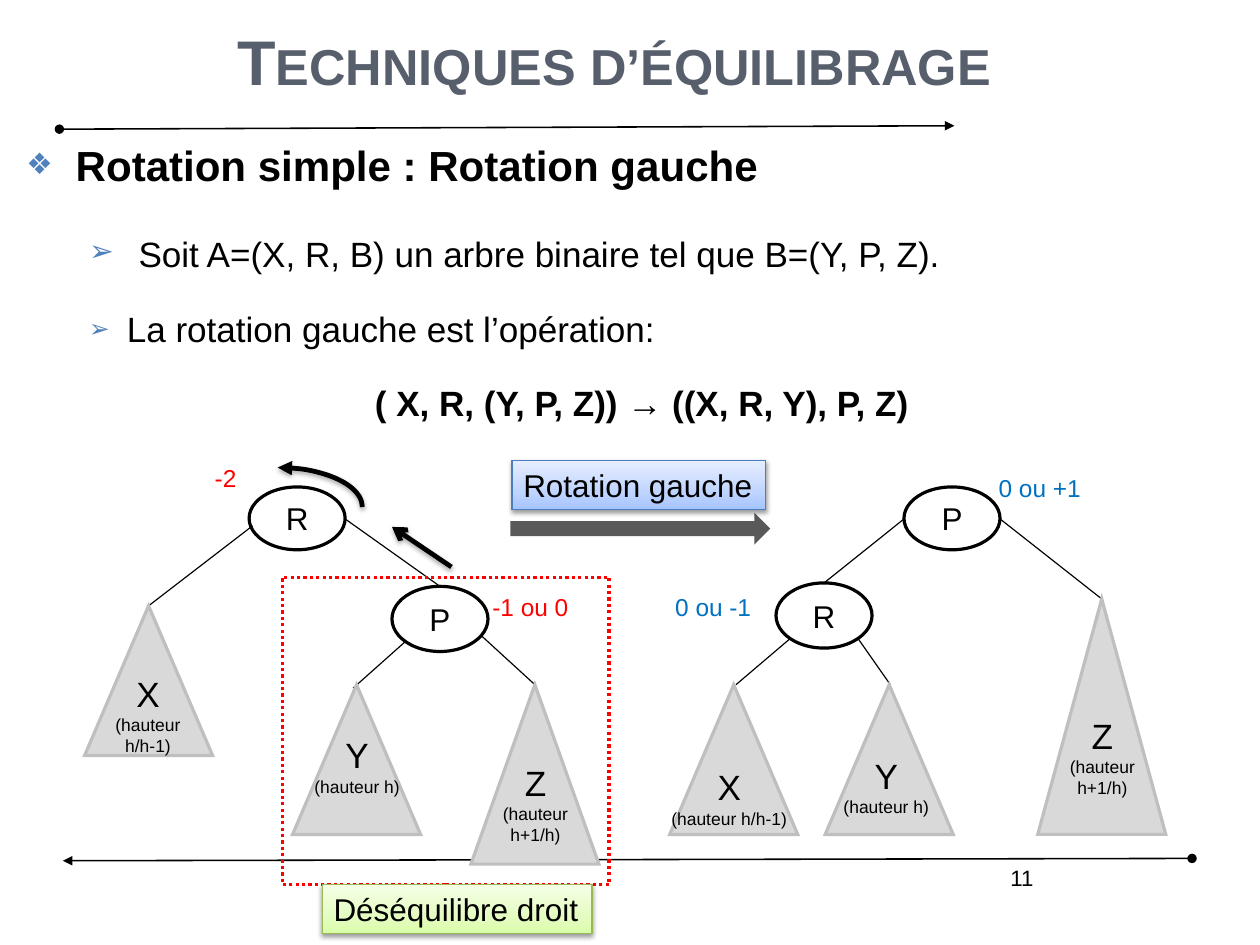
from dataclasses import dataclass

from lxml.etree import SubElement
from pptx import Presentation
from pptx.dml.color import RGBColor
from pptx.enum.dml import MSO_LINE
from pptx.enum.shapes import MSO_CONNECTOR, MSO_SHAPE
from pptx.enum.text import MSO_ANCHOR, MSO_AUTO_SIZE, PP_ALIGN
from pptx.oxml import parse_xml
from pptx.oxml.ns import nsdecls, qn
from pptx.util import Emu, Inches, Pt


@dataclass(frozen=True)
class Theme:
    font: str = "Arial"
    ink: str = "000000"
    paper: str = "FFFFFF"
    title: str = "575F6D"
    bullet: str = "4F81BD"
    tree_fill: str = "D9D9D9"
    tree_line: str = "BFBFBF"
    arrow: str = "595959"
    before: str = "FF0000"
    after: str = "0070C0"
    green: tuple = ("DAFDA7", "E4FCC2", "F5FFE7")
    green_line: str = "98B955"
    blue: tuple = ("A4C4FF", "BFD4FF", "E6EEFF")
    blue_line: str = "4B7EBC"
    title_size: float = 39.7
    heading_size: float = 26.5
    body_size: float = 22.1
    node_size: float = 19.8
    balance_size: float = 15.4
    number_size: float = 14
    height_size: float = 11


def add_child(parent, tag, **attributes):
    child = SubElement(parent, qn(tag))
    for name, value in attributes.items():
        child.set(name, str(value))
    return child


def write(paragraph, text, *, size, color=Theme.ink, bold=False, small_caps=False):
    run = paragraph.add_run()
    run.text = text
    run.font.name = Theme.font
    run.font.size = Pt(size)
    run.font.bold = bold
    run.font.color.rgb = RGBColor.from_string(color)
    if small_caps:
        run.font._element.set("cap", "small")


class TreeSlide:
    def __init__(self, presentation, theme):
        self.theme = theme
        self.slide = presentation.slides.add_slide(presentation.slide_layouts[1])
        self.shapes = self.slide.shapes

    def place(self, placeholder, box, anchor):
        placeholder.left, placeholder.top, placeholder.width, placeholder.height = map(Inches, box)
        frame = placeholder.text_frame
        frame.auto_size = MSO_AUTO_SIZE.NONE
        frame.vertical_anchor = anchor
        return frame

    def title(self, text, box):
        paragraph = self.place(self.shapes.title, box, MSO_ANCHOR.BOTTOM).paragraphs[0]
        paragraph.alignment = PP_ALIGN.CENTER
        paragraph.line_spacing = 1.5
        write(paragraph, text, size=self.theme.title_size, color=self.theme.title,
              bold=True, small_caps=True)

    def body(self, items, box):
        """Each item is (level, bullet or None, [(text, size, bold), ...])."""
        frame = self.place(self.slide.placeholders[1], box, MSO_ANCHOR.TOP)
        for index, (level, bullet, runs) in enumerate(items):
            paragraph = frame.add_paragraph() if index else frame.paragraphs[0]
            paragraph.level = level
            paragraph.alignment = PP_ALIGN.JUSTIFY if bullet else PP_ALIGN.CENTER
            paragraph.line_spacing = 1.5
            paragraph.space_before = Pt(6.6)
            properties = paragraph._p.get_or_add_pPr()
            properties.set("marL", str(Inches(0.88 if level else 0.33)))
            properties.set("indent", str(Inches(-0.33)))
            if bullet:
                add_child(add_child(properties, "a:buClr"), "a:srgbClr", val=self.theme.bullet)
                add_child(properties, "a:buSzPct", val=70000)
                add_child(properties, "a:buFont", typeface=self.theme.font)
                add_child(properties, "a:buChar", char=bullet)
            else:
                add_child(properties, "a:buNone")
            for text, size, bold in runs:
                write(paragraph, text, size=size, bold=bold)

    def text(self, box, lines, color=Theme.ink, align=PP_ALIGN.LEFT, wrap=True):
        """Each line is (text, size)."""
        frame = self.shapes.add_textbox(*map(Inches, box)).text_frame
        frame.word_wrap = wrap
        for index, (text, size) in enumerate(lines):
            paragraph = frame.add_paragraph() if index else frame.paragraphs[0]
            paragraph.alignment = align
            write(paragraph, text, size=size, color=color)

    def outline(self, item, color, width, head=None, tail=None):
        item.line.color.rgb = RGBColor.from_string(color)
        item.line.width = Pt(width)
        properties = item.line._get_or_add_ln()
        add_child(properties, "a:miter", lim=800000)
        for tag, kind in (("a:headEnd", head), ("a:tailEnd", tail)):
            if kind:
                add_child(properties, tag, type=kind)

    def cast_shadow(self, effects, distance, opacity):
        shadow = add_child(effects, "a:outerShdw", blurRad=Pt(3.1), dist=Pt(distance),
                           dir=5400000, rotWithShape=0)
        color = add_child(shadow, "a:srgbClr", val=self.theme.ink)
        add_child(color, "a:alpha", val=opacity * 1000)

    def line(self, start, end, width=0.75, head=None, tail=None, shadow=False):
        connector = self.shapes.add_connector(
            MSO_CONNECTOR.STRAIGHT, *map(Inches, (*start, *end)))
        self.outline(connector, self.theme.ink, width, head, tail)
        effects = add_child(connector._element.spPr, "a:effectLst")
        if shadow:
            self.cast_shadow(effects, 1.8, 35)

    def shape(self, kind, box, line, width, fill=None, head=None):
        shape = self.shapes.add_shape(kind, *map(Inches, box))
        if isinstance(fill, tuple):
            stops = "".join(f'<a:gs pos="{position}"><a:srgbClr val="{color}"/></a:gs>'
                            for position, color in zip((0, 35000, 100000), fill))
            shape._element.spPr.insert(2, parse_xml(
                f'<a:gradFill {nsdecls("a")}><a:gsLst>{stops}</a:gsLst>'
                '<a:lin ang="16200000" scaled="0"/></a:gradFill>'))
        elif fill:
            shape.fill.solid()
            shape.fill.fore_color.rgb = RGBColor.from_string(fill)
        else:
            shape.fill.background()
        self.outline(shape, line, width, head)
        shape.shadow.inherit = False
        return shape

    def node(self, name, left, top, height):
        shape = self.shape(MSO_SHAPE.OVAL, (left, top, 0.84, height),
                           self.theme.ink, 2, self.theme.paper)
        paragraph = shape.text_frame.paragraphs[0]
        paragraph.alignment = PP_ALIGN.CENTER
        write(paragraph, name, size=self.theme.node_size)

    def subtree(self, name, depth, left, top, height, label_box, wrap):
        self.shape(MSO_SHAPE.ISOSCELES_TRIANGLE, (left, top, 1.12, height),
                   self.theme.tree_line, 2, self.theme.tree_fill)
        self.text(label_box, [(name, self.theme.body_size), (f"(hauteur {depth})", self.theme.height_size)],
                  align=PP_ALIGN.CENTER, wrap=wrap)

    def banner(self, text, box, fill, line):
        shape = self.shape(MSO_SHAPE.RECTANGLE, box, line, 0.75, fill)
        self.cast_shadow(shape._element.spPr.find(qn("a:effectLst")), 1.6, 38)
        frame = shape.text_frame
        frame.word_wrap = False
        frame.paragraphs[0].alignment = PP_ALIGN.LEFT
        write(frame.paragraphs[0], text, size=self.theme.node_size)

    def curved_arrow(self, box):
        arc = self.shape(MSO_SHAPE.ARC, box, self.theme.ink, 3, head="triangle")
        self.cast_shadow(arc._element.spPr.find(qn("a:effectLst")), 1.8, 35)


def main():
    theme = Theme()
    presentation = Presentation()
    presentation.slide_width, presentation.slide_height = Emu(10080625), Emu(7559675)
    page = TreeSlide(presentation, theme)

    page.line((0.52, 1.13), (8.35, 1.1), 1, "oval", "triangle")
    page.text((6.57, 7.51, 2.57, 0.57), [("11", theme.number_size)], align=PP_ALIGN.RIGHT)
    page.line((10.43, 7.51), (0.55, 7.53), 1, "oval", "triangle")
    page.title("Techniques d’équilibrage", (0.55, -0.9, 9.65, 1.81))
    heading, body = theme.heading_size, theme.body_size
    page.body([
        (0, "❖", [(" ", heading, False), ("Rotation simple : Rotation gauche", heading, True)]),
        (1, "➢", [(" ", heading, True),
                  ("Soit A=(X, R, B) un arbre binaire tel que B=(Y, P, Z). ", body, False)]),
        (1, "➢", [("La rotation gauche est l’opération:", body, False)]),
        (1, None, [("( X, R, (Y, P, Z)) → ((X, R, Y), P, Z)", body, True)]),
    ], (0.13, 0.95, 10.42, 7.32))

    for node in [("P", 7.91, 4.26, 0.55), ("R", 6.79, 5.1, 0.57),
                 ("R", 2.18, 4.26, 0.55), ("P", 3.43, 5.13, 0.57)]:
        page.node(*node)
    for start, end in [
        ((7.91, 4.54), (7.21, 5.1)), ((6.91, 5.59), (6.44, 5.99)),
        ((8.75, 4.54), (9.64, 5.24)), ((7.51, 5.59), (7.79, 5.99)),
        ((2.21, 4.6), (1.3, 5.3)), ((3.55, 5.61), (3.09, 6.02)),
        ((3.02, 4.54), (3.85, 5.13)), ((4.21, 5.56), (4.68, 5.99)),
    ]:
        page.line(start, end)
    for subtree in [
        ("X", "h/h-1", 5.86, 5.99, 1.31, (5.77, 6.65, 1.22, 0.66), False),
        ("Y", "h", 7.22, 5.99, 1.31, (7.28, 6.55, 0.95, 0.66), False),
        ("Z", "h+1/h", 9.08, 5.24, 2.06, (9.12, 6.2, 1.05, 0.84), True),
        ("X", "h/h-1", 0.74, 5.3, 1.31, (0.82, 5.83, 0.95, 0.84), True),
        ("Y", "h", 2.56, 5.99, 1.31, (2.65, 6.37, 0.95, 0.66), False),
        ("Z", "h+1/h", 4.12, 5.99, 1.57, (4.21, 6.61, 0.95, 0.84), True),
    ]:
        page.subtree(*subtree)

    page.curved_arrow((1.69, 4.09, 1.48, 0.69))
    page.line((3.95, 4.96), (3.43, 4.61), 3, tail="arrow", shadow=True)
    frame = page.shape(MSO_SHAPE.RECTANGLE, (2.47, 5.05, 2.86, 2.69), theme.before, 2)
    frame.line.dash_style = MSO_LINE.ROUND_DOT
    page.banner("Déséquilibre droit", (2.82, 7.74, 2.36, 0.43), theme.green, theme.green_line)
    page.shape(MSO_SHAPE.RIGHT_ARROW, (4.48, 4.52, 2.24, 0.21), theme.arrow, 2, theme.arrow)
    for balance, left, top, width, color in [
        ("-1 ou 0", 4.21, 5.13, 1.01, theme.before), ("-2", 1.78, 4, 0.45, theme.before),
        ("0 ou -1", 5.81, 5.13, 1, theme.after), ("0 ou +1", 8.64, 4.09, 0.96, theme.after),
    ]:
        page.text((left, top, width, 0.36), [(balance, theme.balance_size)], color, wrap=False)
    page.banner("Rotation gauche", (4.48, 4.03, 2.22, 0.43), theme.blue, theme.blue_line)
    presentation.save("out.pptx")


if __name__ == "__main__":
    main()
